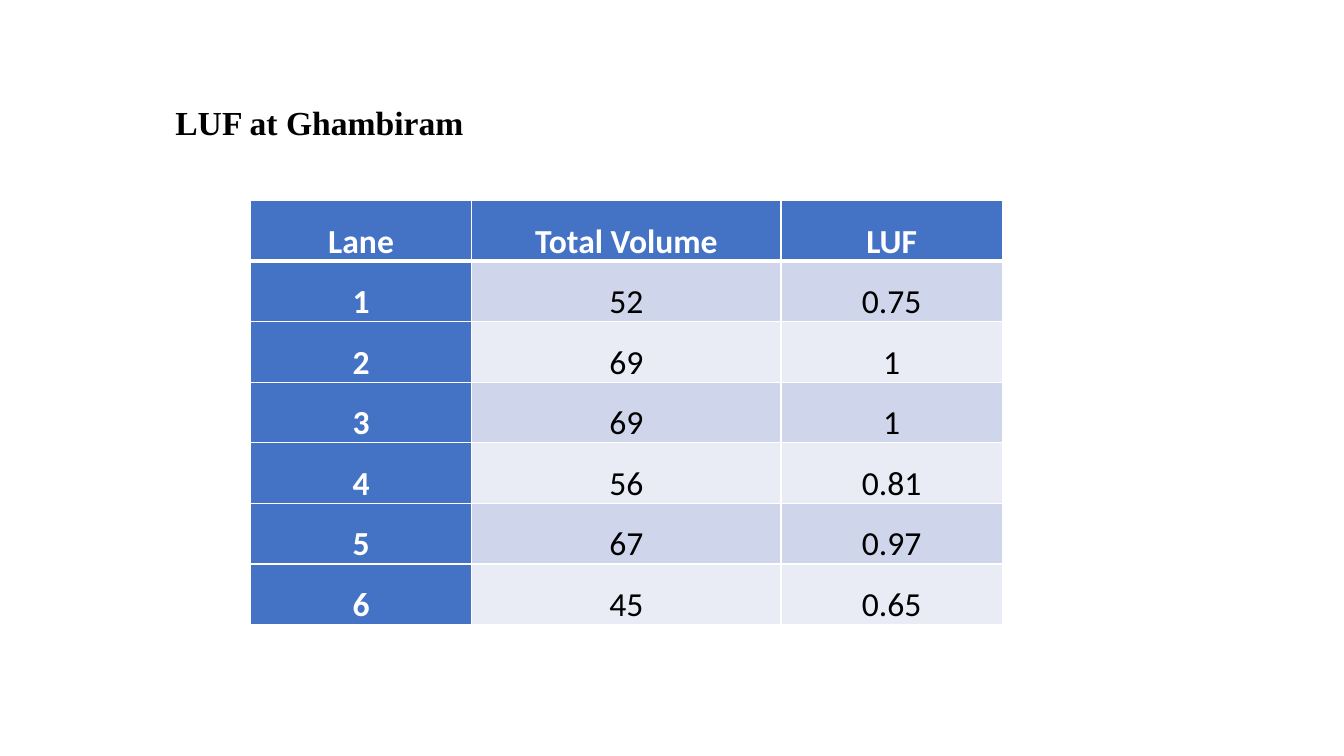
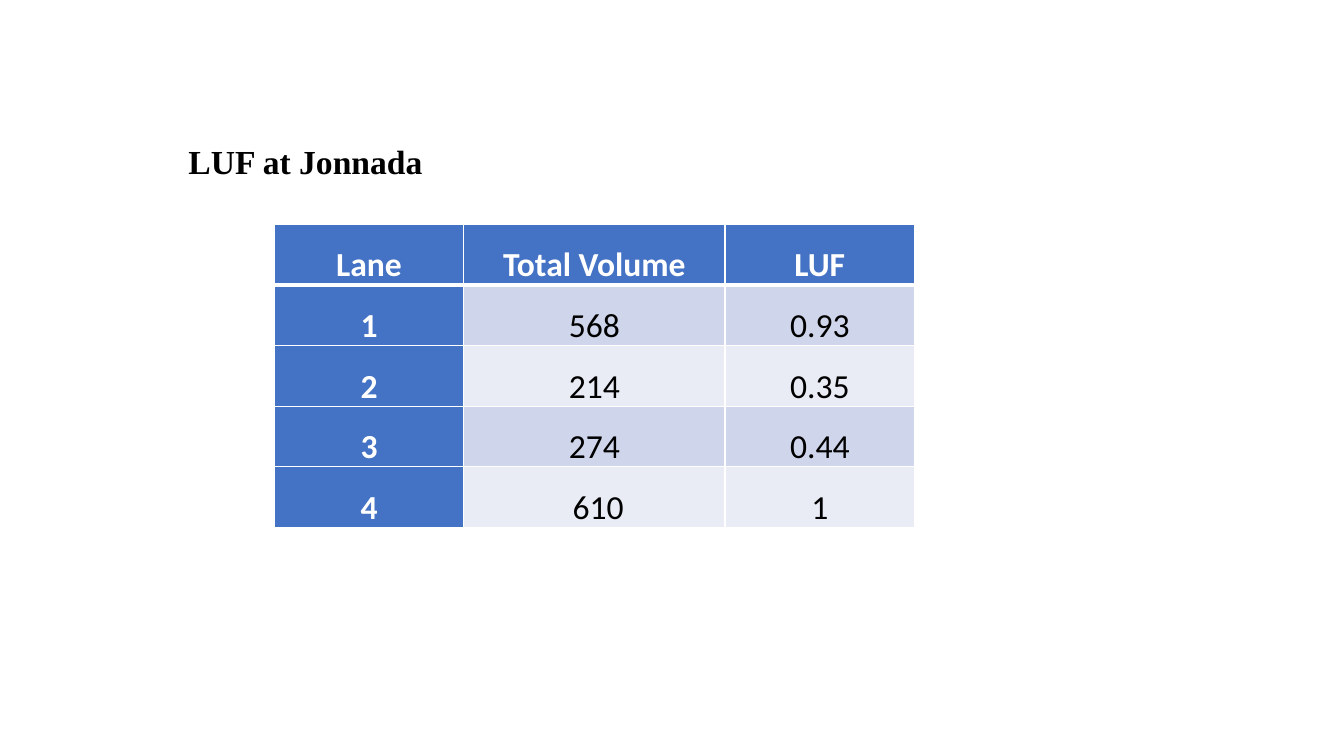
from pptx import Presentation
from pptx.dml.color import RGBColor
from pptx.enum.text import MSO_ANCHOR as Anchor, MSO_AUTO_SIZE as AutoSize, PP_ALIGN as Align
from pptx.oxml import parse_xml
from pptx.oxml.ns import nsdecls
from pptx.util import Cm, Pt

BLUE = RGBColor(0x44, 0x72, 0xC4)
DARK_BAND = RGBColor(0xCF, 0xD5, 0xEA)
LIGHT_BAND = RGBColor(0xE9, 0xEB, 0xF5)
WHITE = RGBColor(0xFF, 0xFF, 0xFF)
BLACK = RGBColor(0, 0, 0)

HEADINGS = ("Lane", "Total Volume", "LUF")


class Deck:
    title_font = {"name": "Times New Roman", "size": Pt(24), "bold": True}
    label_font = {"name": "Calibri", "size": Pt(24), "bold": True}
    value_font = {"name": "Calibri", "size": Pt(24), "bold": False}
    cell_format = {
        "vertical_anchor": Anchor.BOTTOM,
        "margin_left": Cm(0.18),
        "margin_right": Cm(0.18),
        "margin_top": Cm(0),
        "margin_bottom": Cm(0),
    }
    line_format = {"alignment": Align.CENTER, "line_spacing": 1.5}
    title_format = {"word_wrap": True, "auto_size": AutoSize.SHAPE_TO_FIT_TEXT}

    def __init__(self):
        self.prs = Presentation()
        self.prs.slide_width = Cm(33.87)
        self.prs.slide_height = Cm(19.05)
        self.slide = None

    def new_slide(self):
        self.slide = self.prs.slides.add_slide(self.prs.slide_layouts[6])

    def apply(self, target, values):
        for key, value in values.items():
            setattr(target, key, value)

    def add_words(self, paragraph, words, font, color):
        run = paragraph.add_run()
        run.text = words
        self.apply(run.font, font)
        run.font.color.rgb = color

    def title(self, words, left, top):
        frame = self.slide.shapes.add_textbox(Cm(left), Cm(top), Cm(16.94), Cm(1.27)).text_frame
        self.apply(frame, self.title_format)
        self.add_words(frame.paragraphs[0], words, self.title_font, BLACK)

    def borders(self, cell, row):
        widths = {"L": 1, "R": 1, "T": 3 if row == 1 else 1, "B": 3 if row == 0 else 1}
        props = cell._tc.get_or_add_tcPr()
        for side, width in widths.items():
            props.append(parse_xml(
                f'<a:ln{side} {nsdecls("a")} w="{Pt(width)}"><a:solidFill>'
                f'<a:srgbClr val="{WHITE}"/></a:solidFill></a:ln{side}>'))

    def cell(self, cell, words, row, column):
        is_label = row == 0 or column == 0
        self.apply(cell, self.cell_format)
        self.borders(cell, row)
        cell.fill.solid()
        cell.fill.fore_color.rgb = BLUE if is_label else DARK_BAND if row % 2 else LIGHT_BAND
        paragraph = cell.text_frame.paragraphs[0]
        self.apply(paragraph, self.line_format)
        font, color = (self.label_font, WHITE) if is_label else (self.value_font, BLACK)
        self.add_words(paragraph, words, font, color)

    def lane_table(self, lanes, left, top, widths, row_height):
        rows = [HEADINGS] + [(str(lane), *values) for lane, values in enumerate(lanes, 1)]
        table = self.slide.shapes.add_table(
            len(rows), len(HEADINGS), Cm(left), Cm(top),
            Cm(sum(widths)), Cm(row_height * len(rows))).table
        for column, width in zip(table.columns, widths):
            column.width = Cm(width)
        for row, entries in enumerate(rows):
            for column, words in enumerate(entries):
                self.cell(table.cell(row, column), words, row, column)


def main():
    deck = Deck()

    deck.new_slide()
    deck.title("LUF at Ghambiram", 4.17, 2.44)
    ghambiram = [("52", "0.75"), ("69", "1"), ("69", "1"),
                 ("56", "0.81"), ("67", "0.97"), ("45", "0.65")]
    deck.lane_table(ghambiram, 6.31, 5.06, (5.58, 7.79, 5.58), 1.36)

    deck.new_slide()
    deck.title("LUF at Jonnada", 4.5, 3.43)
    jonnada = [("568", "0.93"), ("214", "0.35"), ("274", "0.44"), (" 610", "1")]
    deck.lane_table(jonnada, 6.91, 5.66, (4.78, 6.58, 4.78), 1.45)

    deck.prs.save("out.pptx")


if __name__ == "__main__":
    main()
